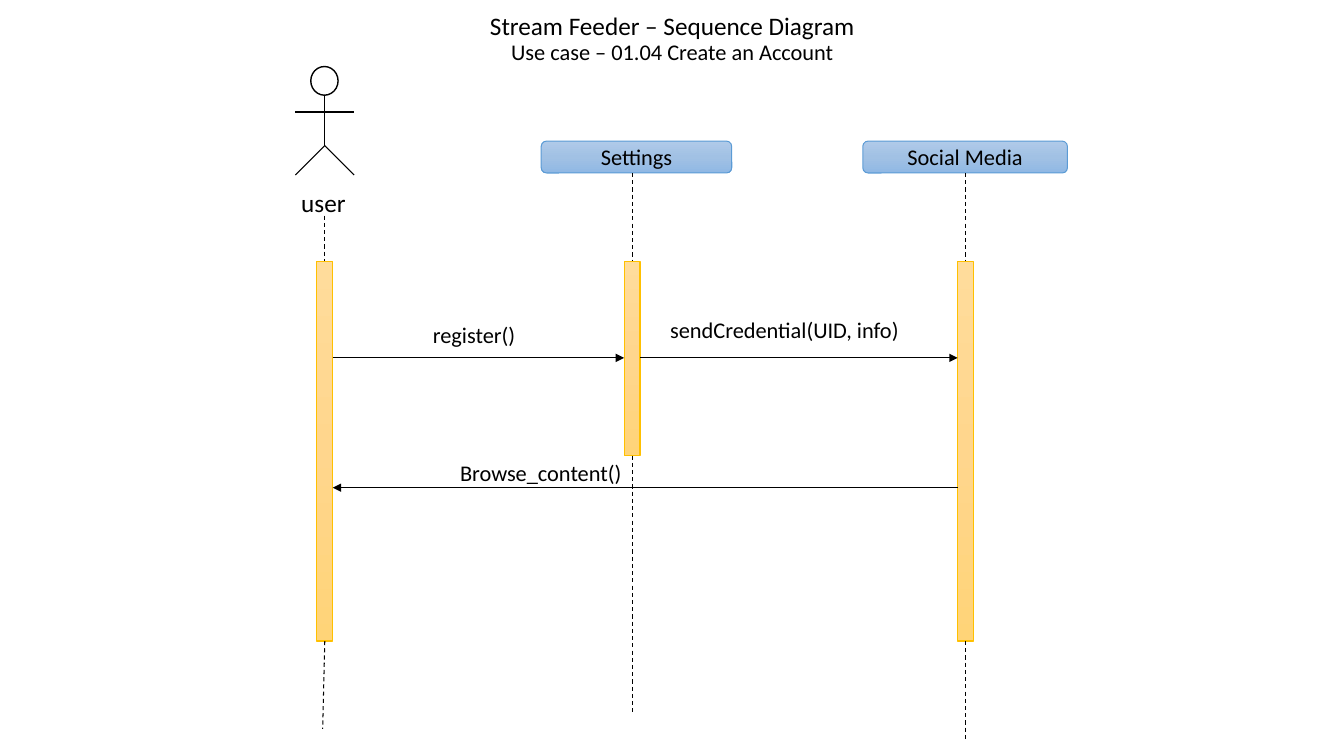
from copy import deepcopy

from lxml import etree
from pptx import Presentation
from pptx.dml.color import RGBColor
from pptx.enum.dml import MSO_LINE
from pptx.enum.shapes import MSO_CONNECTOR, MSO_SHAPE
from pptx.enum.text import MSO_ANCHOR, PP_ALIGN
from pptx.oxml.ns import qn
from pptx.util import Pt

BLACK = RGBColor(0x00, 0x00, 0x00)
WHITE = RGBColor(0xFF, 0xFF, 0xFF)
BLUE = RGBColor(0x5B, 0x9B, 0xD5)
GOLD = RGBColor(0xFF, 0xC0, 0x00)
BLUES = (RGBColor(0xB0, 0xCA, 0xE9), RGBColor(0xA1, 0xC1, 0xE4), RGBColor(0x90, 0xB8, 0xE4))
GOLDS = (RGBColor(0xFF, 0xDC, 0x9B), RGBColor(0xFF, 0xD6, 0x8D), RGBColor(0xFF, 0xD4, 0x78))
RECT, ROUND = MSO_SHAPE.RECTANGLE, MSO_SHAPE.ROUNDED_RECTANGLE
CIRCLE = MSO_SHAPE.FLOWCHART_CONNECTOR
STRAIGHT, DASH = MSO_CONNECTOR.STRAIGHT, MSO_LINE.DASH
LEFT, CENTER = PP_ALIGN.LEFT, PP_ALIGN.CENTER
TOP, MIDDLE = MSO_ANCHOR.TOP, MSO_ANCHOR.MIDDLE


class Diagram:
    """Holds the slide and the style of a sequence diagram."""

    font = "Calibri"
    size = 16
    thin = 0.75

    def __init__(self, slide):
        """Keep the slide to draw on."""
        self.shapes = slide.shapes

    def set_text(self, sp, lines, align=CENTER, anchor=TOP, spacing=1.0):
        """Put (text, size) lines into one paragraph of a shape."""
        tf = sp.text_frame
        tf.word_wrap, tf.vertical_anchor = True, anchor
        p = tf.paragraphs[0]
        p.alignment, p.line_spacing = align, spacing
        for i, (text, size) in enumerate(lines):
            if i:
                p.add_line_break()
            r = p.add_run()
            r.text = text
            for name, value in {"name": self.font, "size": Pt(size)}.items():
                setattr(r.font, name, value)
            r.font.color.rgb = BLACK

    def text(self, box, lines, **layout):
        """Add a text box."""
        self.set_text(self.shapes.add_textbox(*map(Pt, box)), lines, **layout)

    def shape(self, kind, box, fill, line, weight=thin, label=None):
        """Add a shape with a solid colour or a gradient, and a label."""
        sp = self.shapes.add_shape(kind, *map(Pt, box))
        sp.shadow.inherit = False
        sp.line.color.rgb, sp.line.width = line, Pt(weight)
        if isinstance(fill, RGBColor):
            sp.fill.solid()
            sp.fill.fore_color.rgb = fill
        else:
            self.gradient(sp, fill)
        if label:
            self.set_text(sp, [(label, self.size)], anchor=MIDDLE)

    def gradient(self, sp, colors):
        """Fill a shape downwards with evenly spaced colours."""
        sp.fill.gradient()
        sp.fill.gradient_angle = 270
        stops = next(sp._element.iter(qn("a:gsLst")))
        while len(stops) < len(colors):
            stops.append(deepcopy(stops[0]))
        for i, (stop, color) in enumerate(zip(sp.fill.gradient_stops, colors)):
            stop.position = i / (len(colors) - 1)
            stop.color.rgb = color

    def line(self, start, end, weight=thin, dash=None, arrow=False):
        """Add a straight line, dashed or with an arrowhead if asked."""
        c = self.shapes.add_connector(STRAIGHT, *map(Pt, (*start, *end)))
        c.line.color.rgb, c.line.width = BLACK, Pt(weight)
        if dash:
            c.line.dash_style = dash
        if arrow:
            ln = c._element.spPr.find(qn("a:ln"))
            etree.SubElement(ln, qn("a:tailEnd"), type="triangle")
        etree.SubElement(c._element.spPr, qn("a:effectLst"))

    def actor(self, x, name):
        """Draw a stick figure with its name."""
        hip, reach = 104, 21
        self.shape(CIRCLE, (x - 10, 47.5, 19.5, 20.5), WHITE, BLACK, 1)
        self.line((x, 68), (x, hip))
        self.line((x - reach, 80), (x + reach, 80), 1)
        for side in (-reach, reach):
            self.line((x, hip), (x + side, 125))
        self.text((x - 25, 130.3, 48, 29), [(name, 18)])

    def activation(self, x, bottom):
        """Draw the active bar of a participant."""
        self.shape(RECT, (x - BAR / 2, BAR_TOP, BAR, bottom - BAR_TOP), GOLDS, GOLD)

    def message(self, x1, x2, y):
        """Draw an arrow between the facing edges of two bars."""
        gap = BAR / 2 if x2 > x1 else -BAR / 2
        self.line((x1 + gap, y), (x2 - gap, y), arrow=True)


BAR, BAR_TOP = 11.4, 186.8
HEAD_TOP, HEAD_HEIGHT = 100.8, 22.8
USER, SETTINGS, MEDIA = 232, 451.5, 689.7

prs = Presentation()
prs.slide_width, prs.slide_height = Pt(960), Pt(540)
d = Diagram(prs.slides.add_slide(prs.slide_layouts[6]))

d.text((6.5, 6.5, 947.5, 527.8),
       [("Stream Feeder – Sequence Diagram", 18),
        ("Use case – 01.04 Create an Account", 16)], spacing=0.9)

for name, left, width in (("Settings", 386.6, 136.1), ("Social Media", 616.3, 146.2)):
    d.shape(ROUND, (left, HEAD_TOP, width, HEAD_HEIGHT), BLUES, BLUE, label=name)
d.actor(USER, "user")

for name, box in (("register()", (253.4, 228.2, 170.6, 20.9)),
                  ("Browse_content()", (308.9, 328.3, 154.8, 18))):
    d.shape(ROUND, box, WHITE, WHITE, 1, label=name)
d.text((471.6, 222.5, 180, 26.6), [("sendCredential(UID, info)", 16)], align=LEFT)

head_bottom = HEAD_TOP + HEAD_HEIGHT
for x, top, bar_bottom, bottom, end_x in (
        (USER, 154, 457.9, 520.6, USER - 1.5),
        (SETTINGS, head_bottom, 325.4, 509, SETTINGS),
        (MEDIA, head_bottom, 457.9, 527.8, MEDIA)):
    d.activation(x, bar_bottom)
    d.line((x, top), (x, BAR_TOP), dash=DASH)
    d.line((x, bar_bottom), (end_x, bottom), dash=DASH)

for x1, x2, y in ((USER, SETTINGS, 255.6), (SETTINGS, MEDIA, 255.6), (MEDIA, USER, 348.4)):
    d.message(x1, x2, y)

prs.save("out.pptx")
